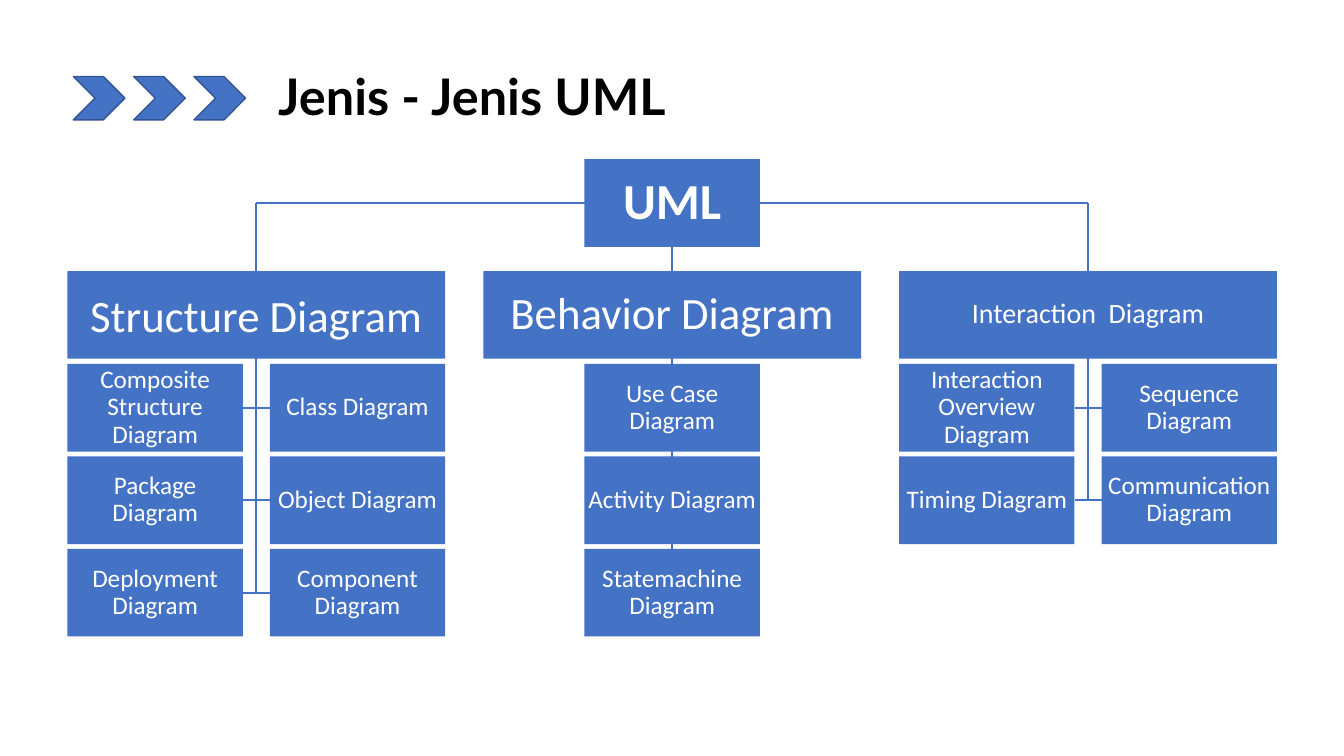
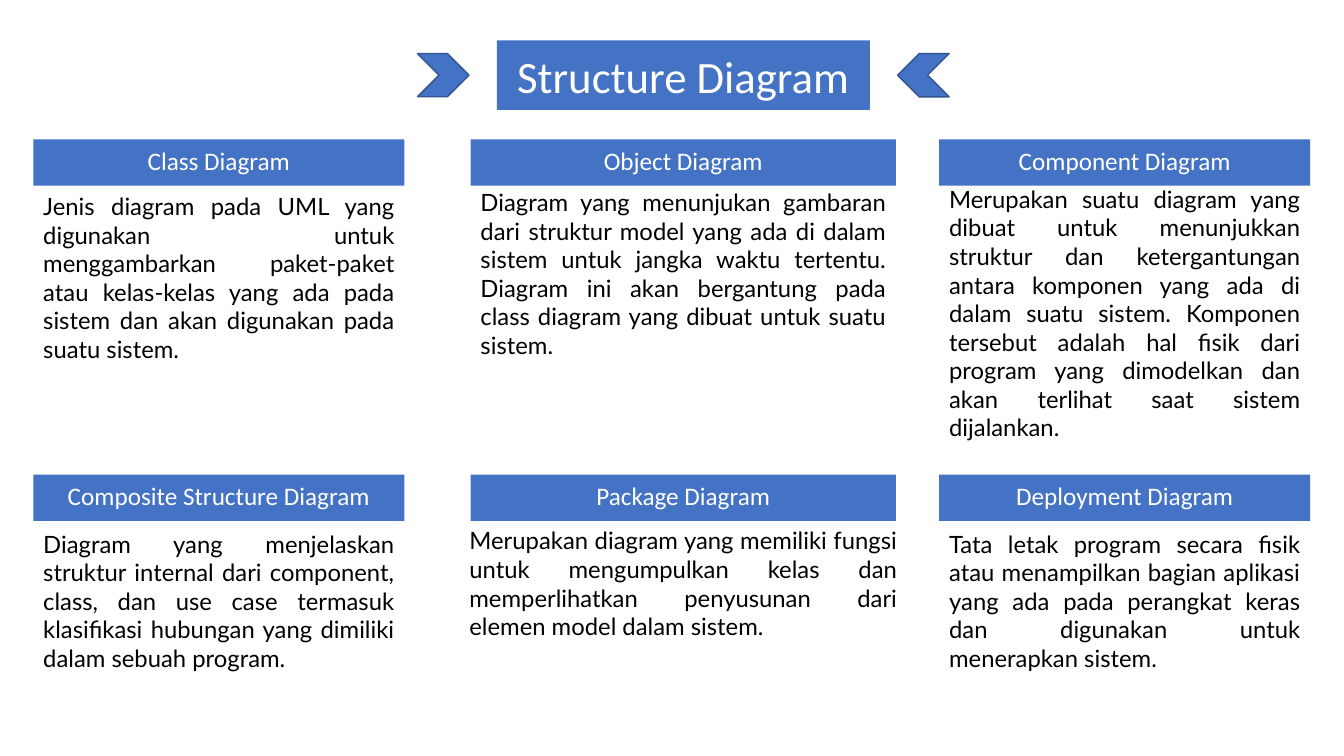
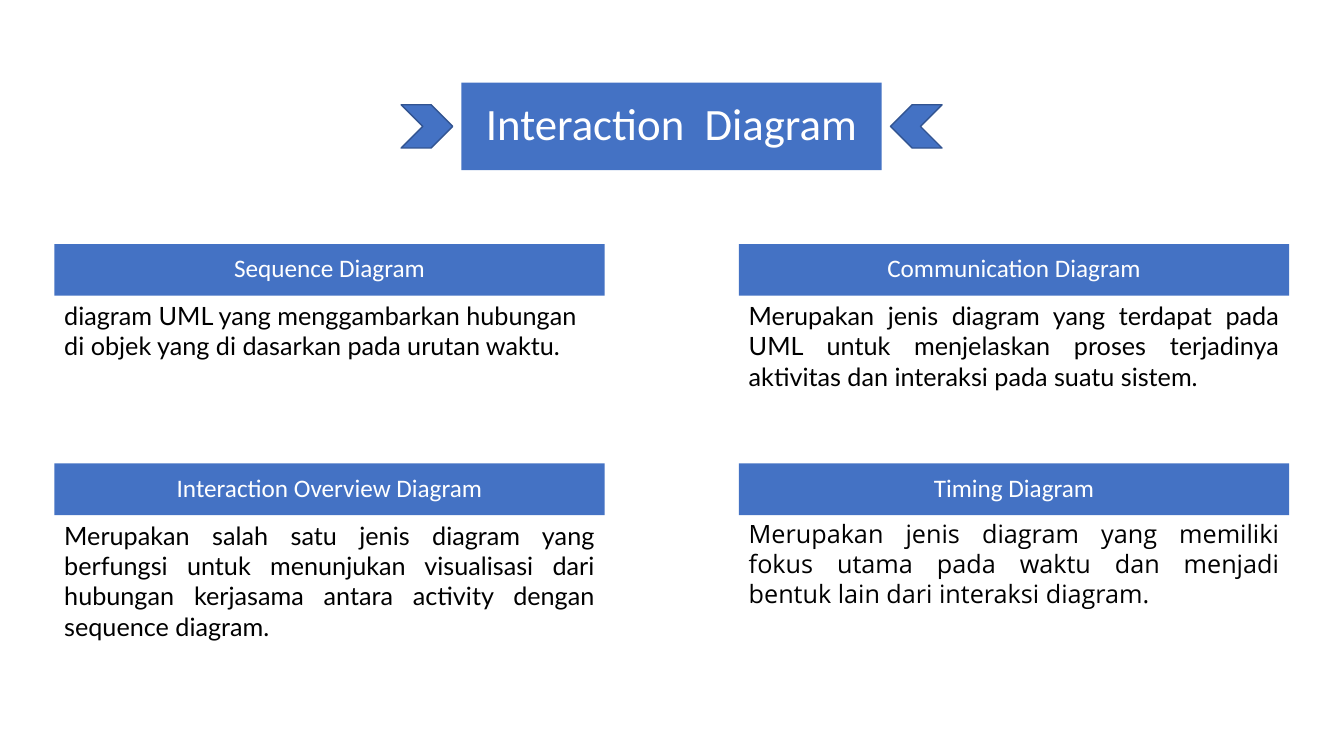
from pptx import Presentation
from pptx.dml.color import RGBColor
from pptx.enum import shapes, text
from pptx.oxml import ns
from pptx.util import Cm, Pt
from lxml import etree

BLUE = RGBColor(0x44, 0x72, 0xC4)
DARK_BLUE = RGBColor(0x32, 0x54, 0x91)
WHITE = RGBColor(0xFF, 0xFF, 0xFF)
BLACK = RGBColor(0, 0, 0)
LABEL_FONT = "Calibri"
BODY_FONT = "Lato"
CENTER, LEFT, JUSTIFY = text.PP_ALIGN.CENTER, text.PP_ALIGN.LEFT, text.PP_ALIGN.JUSTIFY
CHEVRON_WIDTH, CHEVRON_HEIGHT = 1.3, 1.09

TREE_WIDTH, TREE_LEFT, TREE_STEP = 9.52, 1.7, 10.48
BOX_WIDTH, BOX_HEIGHT = 4.42, 2.21
ROOT_TOP, BRANCH_TOP, LEAF_TOP, LEAF_STEP = 4.01, 6.83, 9.17, 2.33

BRANCHES = [
    ("Structure Diagram", 32, 1, [
        ("Composite Structure Diagram", "Class Diagram"),
        ("Package Diagram", "Object Diagram"),
        ("Deployment Diagram", "Component Diagram")]),
    ("Behavior Diagram", 32, 0.9, [
        ("Use Case Diagram",), ("Activity Diagram",), ("Statemachine Diagram",)]),
    ("Interaction  Diagram", 20, 0.9, [
        ("Interaction Overview Diagram", "Sequence Diagram"),
        ("Timing Diagram", "Communication Diagram")]),
]

STRUCTURE_COLUMNS = [(0.84, 9.35), (11.86, 10.72), (23.67, 9.35)]
STRUCTURE_ROWS = [
    (3.51, [
        ("Class Diagram", 4.7, 3.94, "Jenis diagram pada UML yang digunakan untuk menggambarkan paket-paket atau kelas-kelas yang ada pada sistem dan akan digunakan pada suatu sistem."),
        ("Object Diagram", 4.6, 4.62, "Diagram yang menunjukan gambaran dari struktur model yang ada di dalam sistem untuk jangka waktu tertentu. Diagram ini akan bergantung pada class diagram yang dibuat untuk suatu sistem."),
        ("Component Diagram", 4.52, 6.81, "Merupakan suatu diagram yang dibuat untuk menunjukkan struktur dan ketergantungan antara komponen yang ada di dalam suatu sistem. Komponen tersebut adalah hal fisik dari program yang dimodelkan dan akan terlihat saat sistem dijalankan.")]),
    (11.96, [
        ("Composite Structure Diagram", 13.21, 3.89, "Diagram yang menjelaskan struktur internal dari component, class, dan use case termasuk klasifikasi hubungan yang dimiliki dalam sebuah program."),
        ("Package Diagram", 13.13, 3.18, "Merupakan diagram yang memiliki fungsi untuk mengumpulkan kelas dan memperlihatkan penyusunan dari elemen model dalam sistem."),
        ("Deployment Diagram", 13.21, 3.89, "Tata letak program secara fisik atau menampilkan bagian aplikasi yang ada pada perangkat keras dan digunakan untuk menerapkan sistem.")]),
]

INTERACTION_COLUMNS = [(1.37, 13.87), (18.62, 13.87)]
INTERACTION_ROWS = [
    (6.15, [
        ("Sequence Diagram", 7.44, 1.8, "diagram UML yang menggambarkan hubungan\ndi objek yang di dasarkan pada urutan waktu."),
        ("Communication Diagram", 7.44, 2.57, "Merupakan jenis diagram yang terdapat pada UML untuk menjelaskan proses terjadinya aktivitas dan interaksi pada suatu sistem.")]),
    (11.68, [
        ("Interaction Overview Diagram", 12.98, 4.88, "Merupakan salah satu jenis diagram yang berfungsi untuk menunjukan visualisasi dari hubungan kerjasama antara activity dengan sequence diagram."),
        ("Timing Diagram", 12.93, 4.11, "Merupakan jenis diagram yang memiliki fokus utama pada waktu dan menjadi bentuk lain dari interaksi diagram.")]),
]


def write(shape, words, size, color, font=LABEL_FONT, align=CENTER, bold=False,
          spacing=1, margins=(0.03, 0.03), anchor=text.MSO_ANCHOR.MIDDLE):
    frame = shape.text_frame
    frame.text = words
    frame.word_wrap = True
    frame.auto_size = text.MSO_AUTO_SIZE.NONE
    frame.vertical_anchor = anchor
    frame.margin_left = frame.margin_right = Cm(margins[0])
    frame.margin_top = frame.margin_bottom = Cm(margins[1])
    for para in frame.paragraphs:
        para.alignment = align
        para.line_spacing = spacing
        for span in para.runs:
            span.font.name = font
            span.font.size = Pt(size)
            span.font.bold = bold
            span.font.color.rgb = color


def paint(shape):
    shape.fill.solid()
    shape.fill.fore_color.rgb = BLUE


def add_label(page, words, left, top, width, height, size=18, **style):
    box = page.shapes.add_shape(shapes.MSO_SHAPE.RECTANGLE,
                                Cm(left), Cm(top), Cm(width), Cm(height))
    box.shadow.inherit = False
    paint(box)
    box.line.fill.background()
    write(box, words, size, WHITE, **{"spacing": 0.9, **style})


def add_body(page, words, left, top, width, height, size, font):
    box = page.shapes.add_textbox(Cm(left), Cm(top), Cm(width), Cm(height))
    write(box, words, size, BLACK, font=font, align=JUSTIFY,
          margins=(0.25, 0.13), anchor=text.MSO_ANCHOR.TOP)


def add_chevron(page, left, top, rotation=0):
    chevron = page.shapes.add_shape(shapes.MSO_SHAPE.CHEVRON, Cm(left), Cm(top),
                                    Cm(CHEVRON_WIDTH), Cm(CHEVRON_HEIGHT))
    chevron.shadow.inherit = False
    paint(chevron)
    chevron.line.color.rgb = DARK_BLUE
    chevron.line.width = Pt(1)
    chevron.rotation = rotation


def add_line(page, x1, y1, x2, y2):
    line = page.shapes.add_connector(shapes.MSO_CONNECTOR.STRAIGHT,
                                     Cm(x1), Cm(y1), Cm(x2), Cm(y2))
    line.line.color.rgb = BLUE
    line.line.width = Pt(1.5)
    etree.SubElement(line._element.spPr, ns.qn("a:effectLst"))


def add_page(deck, left, top, width, height):
    page = deck.slides.add_slide(deck.slide_layouts[5])
    title = page.shapes.title
    title.left, title.top, title.width, title.height = (
        Cm(left), Cm(top), Cm(width), Cm(height))
    return page


def add_banner_page(deck, words, left, top, width, height, gap, spacing):
    page = add_page(deck, left, top, width, height)
    paint(page.shapes.title)
    write(page.shapes.title, words, 32, WHITE, spacing=spacing)
    chevron_top = top + (height - CHEVRON_HEIGHT) / 2
    add_chevron(page, left - gap - CHEVRON_WIDTH, chevron_top)
    add_chevron(page, left + width + gap, chevron_top, 180)
    return page


def add_cards(page, columns, rows, label_height, size):
    for top, cards in rows:
        for (left, width), (name, body_top, body_height, words) in zip(columns, cards):
            add_label(page, name, left, top, width, label_height)
            overhang = 0.28 if name == "Package Diagram" else 0
            font = "Open Sans" if name == "Timing Diagram" else BODY_FONT
            add_body(page, words, left - overhang, body_top, width + 2 * overhang,
                     body_height, size, font)


def add_branch(page, left, name, size, spacing, rows):
    center = left + TREE_WIDTH / 2
    root_middle = ROOT_TOP + BOX_HEIGHT / 2
    middles = [LEAF_TOP + i * LEAF_STEP + BOX_HEIGHT / 2 for i in range(len(rows))]
    add_line(page, center, root_middle, center, middles[-1])
    for middle, names in zip(middles, rows):
        if len(names) == 1:
            lefts = [center - BOX_WIDTH / 2]
        else:
            lefts = [left, left + TREE_WIDTH - BOX_WIDTH]
            add_line(page, left + BOX_WIDTH, middle, lefts[1], middle)
        for leaf_left, leaf in zip(lefts, names):
            add_label(page, leaf, leaf_left, middle - BOX_HEIGHT / 2, BOX_WIDTH, BOX_HEIGHT)
    add_label(page, name, left, BRANCH_TOP, TREE_WIDTH, BOX_HEIGHT, size, spacing=spacing)


def add_tree_page(deck):
    page = add_page(deck, 6.76, 1.5, 25.45, 1.8)
    write(page.shapes.title, "Jenis - Jenis UML", 36, BLACK, font=BODY_FONT, align=LEFT,
          bold=True, margins=(0.25, 0.13), anchor=text.MSO_ANCHOR.TOP)
    for i in range(3):
        add_chevron(page, 1.85 + i * 1.52, 1.93)
    lefts = [TREE_LEFT + i * TREE_STEP for i in range(len(BRANCHES))]
    root_middle = ROOT_TOP + BOX_HEIGHT / 2
    add_line(page, lefts[0] + TREE_WIDTH / 2, root_middle,
             lefts[-1] + TREE_WIDTH / 2, root_middle)
    for left, branch in zip(lefts, BRANCHES):
        add_branch(page, left, *branch)
    add_label(page, "UML", lefts[1] + (TREE_WIDTH - BOX_WIDTH) / 2, ROOT_TOP,
              BOX_WIDTH, BOX_HEIGHT, 36, bold=True)


def main():
    deck = Presentation()
    deck.slide_width, deck.slide_height = Cm(33.87), Cm(19.05)
    add_tree_page(deck)
    page = add_banner_page(deck, "Structure Diagram", 12.52, 1.02, 9.4, 1.75, 0.7, 1)
    add_cards(page, STRUCTURE_COLUMNS, STRUCTURE_ROWS, 1.17, 17)
    page = add_banner_page(deck, "Interaction  Diagram", 11.63, 2.08, 10.59, 2.21, 0.22, 0.9)
    add_cards(page, INTERACTION_COLUMNS, INTERACTION_ROWS, 1.3, 18)
    deck.save("out.pptx")


if __name__ == "__main__":
    main()
